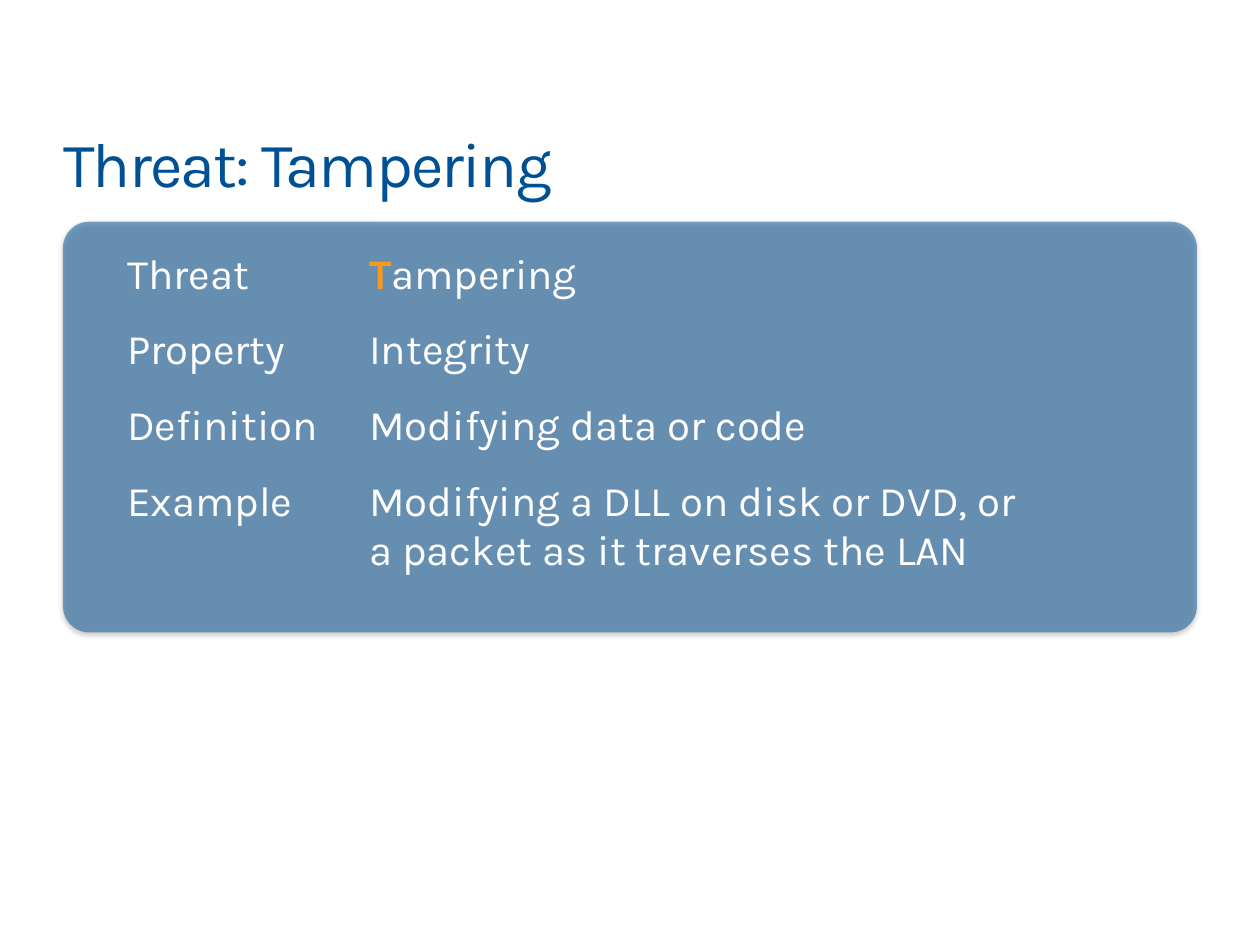
import pptx
import pptx.dml.color
import pptx.enum.shapes
import pptx.enum.text
import pptx.oxml
import pptx.oxml.ns
import pptx.util

Inches = pptx.util.Inches
Pt = pptx.util.Pt
RGBColor = pptx.dml.color.RGBColor

BLUE = RGBColor(0x00, 0x51, 0x94)
WHITE = RGBColor(0xFF, 0xFF, 0xFF)
ORANGE = RGBColor(0xF8, 0x9A, 0x21)
NS = pptx.oxml.ns.nsdecls("a")
PLAIN = "{2D5ABB26-0587-4C30-8999-92F81FD0307C}"  # table style without grid


def add_run(para, text, color, **extra):
    run = para.add_run()
    run.text = text
    run.font.color.rgb = color
    form = {"name": "Karla", "size": Pt(24), "bold": False, **extra}
    for key, value in form.items():
        setattr(run.font, key, value)
    return run


deck = pptx.Presentation()
deck.slide_width = Inches(10)
deck.slide_height = Inches(7.5)
slide = deck.slides.add_slide(deck.slide_layouts[6])

# Panel: half clear, with a soft shadow below
panel = slide.shapes.add_shape(
    pptx.enum.shapes.MSO_SHAPE.ROUNDED_RECTANGLE,
    Inches(0.5), Inches(1.76), Inches(9), Inches(3.26))
panel.adjustments[0] = 0.064
panel.fill.solid()
panel.fill.fore_color.rgb = BLUE
panel.line.fill.background()
panel.shadow.inherit = False
props = panel.fill._xPr
tint = props.find(".//" + pptx.oxml.ns.qn("a:srgbClr"))
tint.append(pptx.oxml.parse_xml(f'<a:alpha {NS} val="50000"/>'))
props.find(pptx.oxml.ns.qn("a:effectLst")).append(pptx.oxml.parse_xml(
    f'<a:outerShdw {NS} blurRad="{Pt(3.1)}" dist="{Pt(1.6)}" dir="5400000" '
    'rotWithShape="0"><a:srgbClr val="000000"><a:alpha val="38000"/>'
    '</a:srgbClr></a:outerShdw>'))

# Title
title = slide.shapes.add_textbox(
    Inches(0.5), Inches(0.98), Inches(9.01), Inches(0.61))
frame = title.text_frame
layout = {
    "word_wrap": True, "vertical_anchor": pptx.enum.text.MSO_ANCHOR.BOTTOM,
    "margin_left": 0, "margin_right": 0, "margin_top": 0, "margin_bottom": 0,
}
for key, value in layout.items():
    setattr(frame, key, value)
head = add_run(frame.paragraphs[0], "Threat: Tampering", BLUE, size=Pt(36))
head.font._element.set("spc", "-100")

# Table: each cell is a list of text and colour pairs
rows = [
    ("Threat", [("T", ORANGE), ("ampering", WHITE)]),
    ("Property", [("Integrity", WHITE)]),
    ("Definition", [("Modifying data or code", WHITE)]),
    ("Example", [("Modifying a DLL on disk or DVD, or a packet as it "
                  "traverses the LAN", WHITE)]),
]
holder = slide.shapes.add_table(
    len(rows), 2, Inches(0.91), Inches(1.89), Inches(7.49), Inches(2.35))
table = holder.table
table.first_row = False
table.horz_banding = False
table._tbl.tblPr.find(pptx.oxml.ns.qn("a:tableStyleId")).text = PLAIN
for col, width in zip(table.columns, (1.92, 5.57)):
    col.width = Inches(width)
for row, height in zip(table.rows, (0.43, 0.43, 0.43, 1.06)):
    row.height = Inches(height)

for row, (label, parts) in zip(table.rows, rows):
    for cell, runs in zip(row.cells, ([(label, WHITE)], parts)):
        cell.fill.background()
        for side in ("left", "right", "top", "bottom"):
            setattr(cell, "margin_" + side, Inches(0.1))
        for text, color in runs:
            add_run(cell.text_frame.paragraphs[0], text, color,
                    bold=color == ORANGE)

deck.save("out.pptx")
